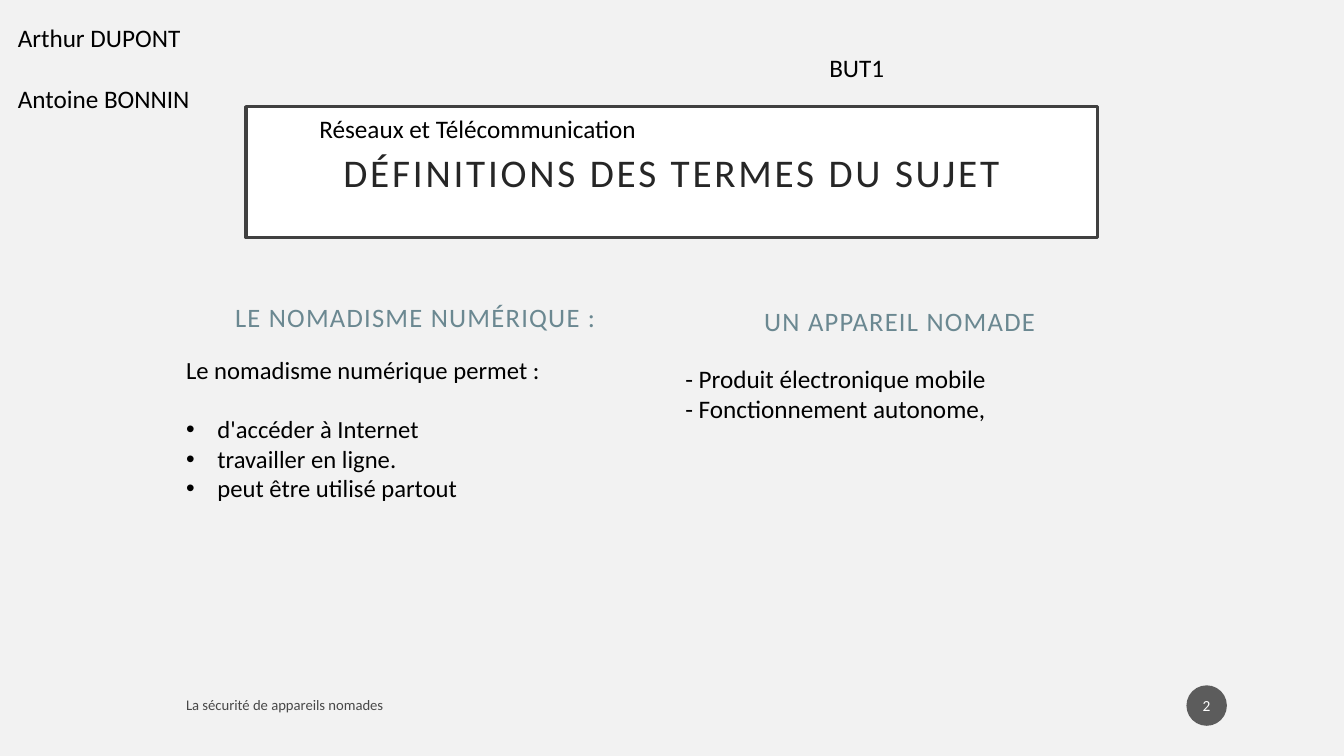
from pptx import Presentation
from pptx import util as u
from pptx.dml.color import RGBColor
from pptx.enum import shapes, text
from pptx.oxml.ns import qn
from lxml import etree

COLORS = {"back": "F2F2F2", "white": "FFFFFF", "black": "000000",
          "frame": "404040", "title": "262626", "head": "6B8891", "badge": "1D1D1D"}
MID, BOTTOM = text.MSO_ANCHOR.MIDDLE, text.MSO_ANCHOR.BOTTOM


def paint(fill, name, alpha=100):
    """Give a fill a solid colour, with its opacity in percent."""
    fill.solid()
    fill.fore_color.rgb = RGBColor.from_string(COLORS[name])
    if alpha < 100:
        tint = fill._xPr.find(qn("a:solidFill"))[0]
        etree.SubElement(tint, qn("a:alpha")).set("val", str(alpha * 1000))


class Deck:
    font = "Calibri"

    def __init__(self):
        self.prs = Presentation()
        self.prs.slide_width, self.prs.slide_height = u.Cm(33.87), u.Cm(19.05)
        self.slide = self.prs.slides.add_slide(self.prs.slide_layouts[6])
        paint(self.slide.background.fill, "back")

    def letter(self, shape, lines, size, color="black", alpha=100, track=0,
               center=False, anchor=text.MSO_ANCHOR.TOP, pad=0.25):
        """Set the lines of text in a shape and style them."""
        frame = shape.text_frame
        frame.text = "\n".join(lines)
        frame.word_wrap = True
        frame.vertical_anchor = anchor
        frame.margin_left = frame.margin_right = u.Cm(pad)
        for para in frame.paragraphs:
            para.alignment = text.PP_ALIGN.CENTER if center else text.PP_ALIGN.LEFT
            for run in para.runs:
                run.font.name, run.font.size = self.font, u.Pt(size)
                paint(run.font.fill, color, alpha)
                if track:
                    run._r.get_or_add_rPr().set("spc", str(round(track * 100)))
        return frame

    def label(self, box, *lines, size=18, **style):
        shape = self.slide.shapes.add_textbox(*map(u.Cm, box))
        return self.letter(shape, lines, size, **style)

    def head(self, box, line):
        self.label(box, line, size=19, color="head", track=0.9,
                   center=True, anchor=BOTTOM)

    def shape(self, kind, box, fill, alpha=100, line=None):
        shape = self.slide.shapes.add_shape(kind, *map(u.Cm, box))
        shape.shadow.inherit = False
        paint(shape.fill, fill, alpha)
        if line:
            paint(shape.line.fill, line)
            shape.line.width = u.Pt(2.5)
        else:
            shape.line.fill.background()
        return shape

    def bullet(self, para):
        props = para._p.get_or_add_pPr()
        props.set("marL", str(u.Cm(0.79)))
        props.set("indent", str(-u.Cm(0.79)))
        etree.SubElement(props, qn("a:buFont")).set("typeface", "Arial")
        etree.SubElement(props, qn("a:buChar")).set("char", "•")


def main():
    deck = Deck()

    deck.head((16.92, 6.73, 11.51, 1.88), "UN APPAREIL NOMADE")
    uses = deck.label((4.44, 8.81, 12.01, 7.06), "Le nomadisme numérique permet :",
                      "d'accéder à Internet", "travailler en ligne.",
                      "peut être utilisé partout", size=17.6)
    uses.paragraphs[0].space_after = u.Pt(21.5)
    for para in uses.paragraphs[1:]:
        deck.bullet(para)
    deck.label((17.02, 9.02, 12.45, 7.21),
               "- Produit électronique mobile", "- Fonctionnement autonome,")
    deck.head((4.22, 7.42, 12.5, 1.09), "LE NOMADISME NUMÉRIQUE :")

    badge = deck.shape(shapes.MSO_SHAPE.OVAL, (29.9, 17.27, 1.02, 1.02), "badge", alpha=70)
    deck.letter(badge, ["2"], 11, color="white", center=True, anchor=MID, pad=0.05)

    title = deck.shape(shapes.MSO_SHAPE.RECTANGLE, (6.2, 2.69, 21.46, 3.3),
                       "white", line="frame")
    deck.letter(title, ["DÉFINITIONS DES TERMES DU SUJET"], 28, color="title",
                track=2, center=True, anchor=MID, pad=0.5)

    names = deck.label((0.2, 0.43, 5.5, 2.6), "Arthur DUPONT", "Antoine BONNIN")
    names.paragraphs[0].space_after = u.Pt(22)
    deck.label((20.65, 1.2, 3, 1.03), "BUT1")
    deck.label((7.8, 2.74, 10, 1.03), "Réseaux et Télécommunication")

    deck.label((4.44, 17.32, 16.38, 0.89), "La sécurité de appareils nomades",
               size=10.5, alpha=70, anchor=MID)

    deck.prs.save("out.pptx")


if __name__ == "__main__":
    main()
